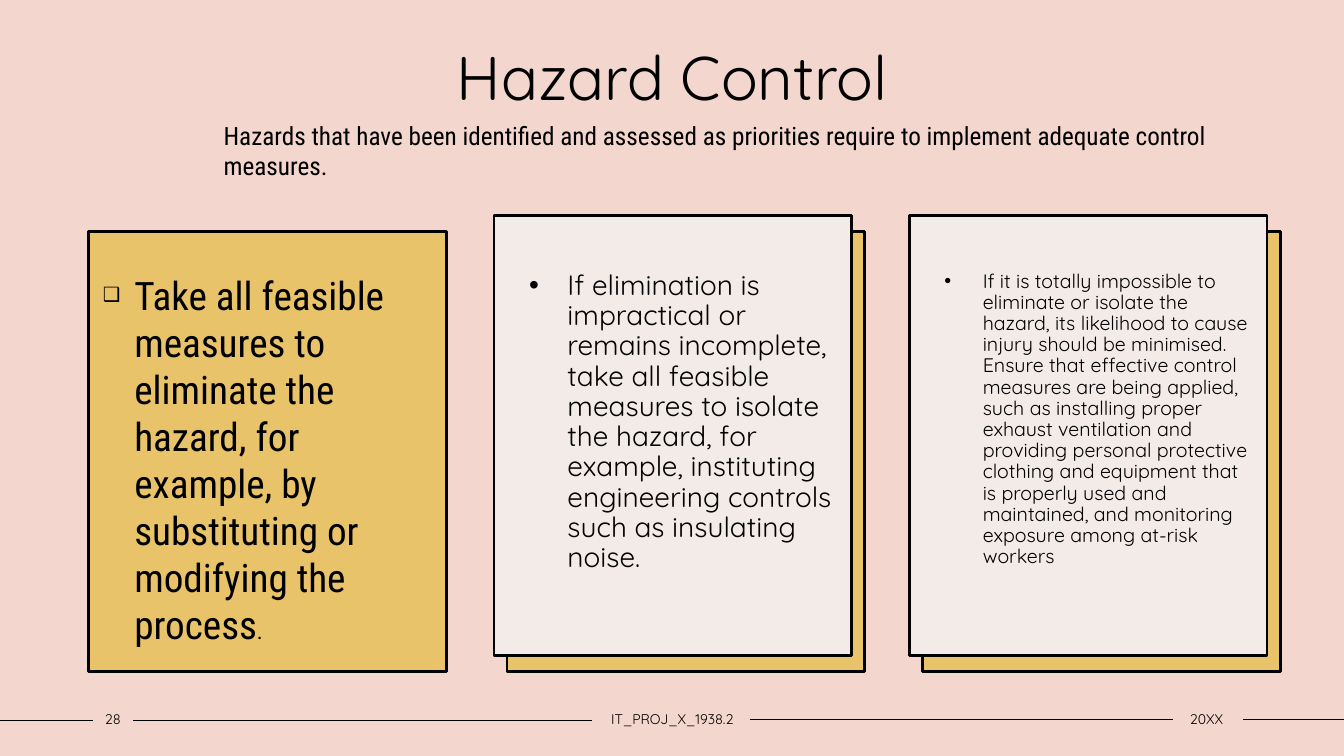
"""Builds the Hazard Control slide with three control cards."""
from dataclasses import dataclass

from lxml import etree
from pptx import Presentation
from pptx.dml.color import RGBColor
from pptx.enum.shapes import MSO_CONNECTOR, MSO_SHAPE
from pptx.enum.text import MSO_ANCHOR, MSO_AUTO_SIZE, PP_ALIGN
from pptx.oxml.ns import qn
from pptx.util import Pt

STRAIGHT = MSO_CONNECTOR.STRAIGHT
RECTANGLE = MSO_SHAPE.RECTANGLE
TOP, MIDDLE = MSO_ANCHOR.TOP, MSO_ANCHOR.MIDDLE
LEFT, CENTER = PP_ALIGN.LEFT, PP_ALIGN.CENTER
NO_FIT = MSO_AUTO_SIZE.NONE

COLORS = {"ink": "000000", "background": "F3D6CD", "panel": "E9C369", "sheet": "F3EBE8"}
QUICKSAND, ROBOTO = "Quicksand", "Roboto Condensed"
COMPARISON_LAYOUT = 4
PANEL_TOP, PANEL_WIDTH, PANEL_HEIGHT = 165.6, 255.6, 313.92
PANEL_LEFTS = (63.36, 362.16, 658.8)
SHEET_SHIFT_X, SHEET_SHIFT_Y = 9.36, 11.52
DEFAULT_INSETS = (7.2, 3.6, 7.2, 3.6)
SHEET_INSETS = (25.2, 39.6, 7.2, 3.6)
FOOTER_INSETS = (0, 3.6, 0, 3.6)


@dataclass(frozen=True)
class Frame:
    """Position and size in points."""
    left: float
    top: float
    width: float
    height: float


@dataclass(frozen=True)
class Span:
    """A run of text with its size and font."""
    text: str
    size: float
    font: str = QUICKSAND


@dataclass(frozen=True)
class Bullet:
    """A list marker with its indent in points and size in percent."""
    mark: str
    indent: float
    percent: int = 100


@dataclass(frozen=True)
class Card:
    """A bulleted body text and the look of its box."""
    frame: Frame
    spans: tuple[Span, ...]
    bullet: Bullet
    insets: tuple[float, float, float, float] = DEFAULT_INSETS
    line_spacing: float = 1.0
    space_before: float = 0
    fill: str = ""


@dataclass(frozen=True)
class FooterRule:
    """A horizontal line in the footer."""
    start: float
    end: float
    top: float


def sheet_frame(panel_left: float) -> Frame:
    """Return the frame of the sheet shifted up and left of its panel."""
    return Frame(panel_left - SHEET_SHIFT_X, PANEL_TOP - SHEET_SHIFT_Y, PANEL_WIDTH, PANEL_HEIGHT)


def sheet_card(panel_left: float, text: str, size: float) -> Card:
    """Return a card on a light sheet."""
    return Card(sheet_frame(panel_left), (Span(text, size),), Bullet("•", 27.36),
                SHEET_INSETS, 0.9, 10, "sheet")


TITLE = Span("Hazard Control", 44)
TITLE_FRAME = Frame(90, 24.48, 780.48, 79.92)
SUBTITLE = Span("Hazards that have been identified and assessed as priorities require to "
                "implement adequate control measures.", 18, ROBOTO)
SUBTITLE_FRAME = Frame(152.64, 82.08, 734.4, 28.8)
CARDS = (
    Card(Frame(66.24, 190.08, 243.36, 219.6),
         (Span("Take all feasible measures to eliminate the hazard, for example, by "
               "substituting or modifying the process", 28, ROBOTO), Span(".", 16, ROBOTO)),
         Bullet("❑", 22.5, 50)),
    sheet_card(PANEL_LEFTS[1],
               "If elimination is impractical or remains incomplete, take all feasible measures "
               "to isolate the hazard, for example, instituting engineering controls such as "
               "insulating noise.", 20),
    sheet_card(PANEL_LEFTS[2],
               "If it is totally impossible to eliminate or isolate the hazard, its likelihood "
               "to cause injury should be minimised. Ensure that effective control measures are "
               "being applied, such as installing proper exhaust ventilation and providing "
               "personal protective clothing and equipment that is properly used and maintained, "
               "and monitoring exposure among at-risk workers", 14),
)
FOOTER_RULES = (
    FooterRule(0, 66.24, 514.8), FooterRule(95.04, 422.64, 514.8),
    FooterRule(535.68, 838.08, 514.08), FooterRule(887.76, 960, 514.08),
)
FOOTER_LABELS = (
    (Span("28", 10), Frame(66.24, 504, 28.8, 19.44)),
    (Span("IT_PROJ_X_1938.2", 10), Frame(422.64, 504, 115.2, 19.44)),
    (Span("20XX", 10), Frame(836.64, 504, 50.4, 19.44)),
)


def color(name: str) -> RGBColor:
    """Return the named colour."""
    return RGBColor.from_string(COLORS[name])


def place(box, frame: Frame) -> None:
    """Move and size a box."""
    box.left, box.top = Pt(frame.left), Pt(frame.top)
    box.width, box.height = Pt(frame.width), Pt(frame.height)


def paint(box, fill: str) -> None:
    """Fill a box and give it the black border."""
    box.fill.solid()
    box.fill.fore_color.rgb = color(fill)
    box.line.color.rgb = color("ink")
    box.line.width = Pt(2)


def write(box, spans: tuple[Span, ...], align=LEFT, anchor=TOP, insets=DEFAULT_INSETS):
    """Write the spans into the first paragraph of a box and return it."""
    text = box.text_frame
    text.word_wrap, text.auto_size, text.vertical_anchor = True, NO_FIT, anchor
    text.margin_left, text.margin_top, text.margin_right, text.margin_bottom = map(Pt, insets)
    para = text.paragraphs[0]
    para.alignment = align
    for span in spans:
        run = para.add_run()
        run.text = span.text
        run.font.name, run.font.size, run.font.bold = span.font, Pt(span.size), False
        run.font.color.rgb = color("ink")
    return para


def add_bullet(para, bullet: Bullet) -> None:
    """Give a paragraph its marker and hanging indent."""
    properties = para._p.get_or_add_pPr()
    properties.set("marL", str(Pt(bullet.indent)))
    properties.set("indent", str(-Pt(bullet.indent)))
    etree.SubElement(properties, qn("a:buSzPct"), val=str(bullet.percent * 1000))
    etree.SubElement(properties, qn("a:buFont"), typeface="Arial")
    etree.SubElement(properties, qn("a:buChar"), char=bullet.mark)


def add_panel(page, left: float) -> None:
    """Draw a yellow panel."""
    panel = page.shapes.add_shape(RECTANGLE, Pt(left), Pt(PANEL_TOP), Pt(PANEL_WIDTH), Pt(PANEL_HEIGHT))
    panel.shadow.inherit = False
    paint(panel, "panel")


def add_rule(page, rule: FooterRule) -> None:
    """Draw a footer line."""
    line = page.shapes.add_connector(STRAIGHT, Pt(rule.start), Pt(rule.top), Pt(rule.end), Pt(rule.top))
    line.line.color.rgb = color("ink")
    line.line.width = Pt(1)
    etree.SubElement(line.element.spPr, qn("a:effectLst"))


def add_label(page, span: Span, frame: Frame, **layout) -> None:
    """Add a text box with one span."""
    box = page.shapes.add_textbox(0, 0, 0, 0)
    place(box, frame)
    write(box, (span,), **layout)


def fill_card(page, box, card: Card) -> None:
    """Turn a body placeholder into a card in front of the panels."""
    page.shapes.element.append(box.element)
    place(box, card.frame)
    if card.fill:
        paint(box, card.fill)
    para = write(box, card.spans, insets=card.insets)
    para.line_spacing, para.space_before = card.line_spacing, Pt(card.space_before)
    add_bullet(para, card.bullet)


def main() -> None:
    """Build and save the deck."""
    deck = Presentation()
    deck.slide_width, deck.slide_height = Pt(960), Pt(540)
    page = deck.slides.add_slide(deck.slide_layouts[COMPARISON_LAYOUT])
    page.background.fill.solid()
    page.background.fill.fore_color.rgb = color("background")
    for rule in FOOTER_RULES:
        add_rule(page, rule)
    for left in PANEL_LEFTS:
        add_panel(page, left)
    title, *bodies = page.placeholders
    place(title, TITLE_FRAME)
    write(title, (TITLE,), align=CENTER)
    for box, card in zip(bodies, CARDS):
        fill_card(page, box, card)
    for spare in bodies[len(CARDS):]:
        page.shapes.element.remove(spare.element)
    for span, frame in FOOTER_LABELS:
        add_label(page, span, frame, align=CENTER, anchor=MIDDLE, insets=FOOTER_INSETS)
    add_label(page, SUBTITLE, SUBTITLE_FRAME)
    deck.save("out.pptx")


if __name__ == "__main__":
    main()
